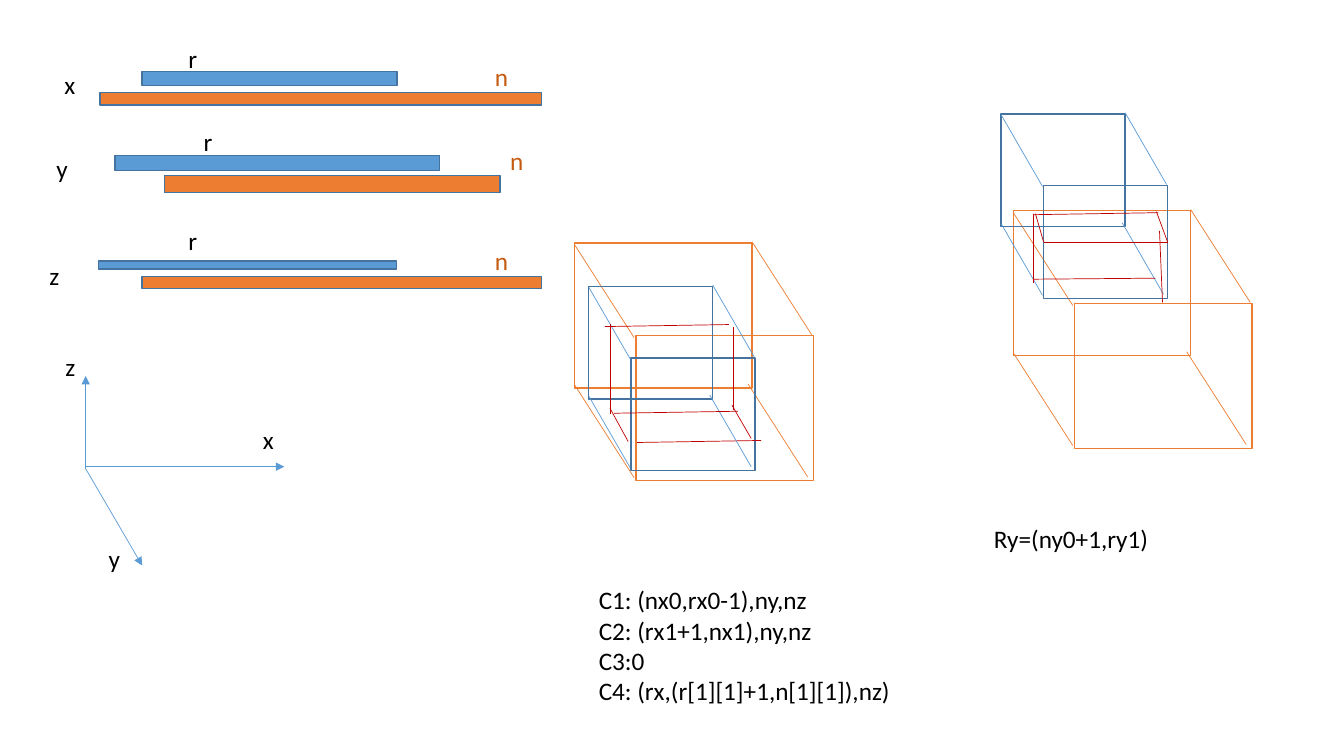
from dataclasses import dataclass

from lxml.etree import SubElement
from pptx import Presentation
from pptx.dml.color import RGBColor
from pptx.enum.shapes import MSO_CONNECTOR, MSO_SHAPE
from pptx.enum.text import MSO_AUTO_SIZE
from pptx.oxml.ns import qn
from pptx.util import Inches, Pt


@dataclass(frozen=True)
class Theme:
    font: str = "Calibri"
    text_size: float = 18
    outline: float = 1
    thin: float = 0.5
    black: str = "000000"
    blue: str = "5B9BD5"
    dark_blue: str = "43739E"
    orange: str = "ED7D31"
    dark_orange: str = "C55A11"
    red: str = "C00000"


@dataclass(frozen=True)
class Cuboid:
    """Face size, shift from back face to front face, and the depth edges."""
    size: tuple
    shift: tuple
    edge_run: tuple
    edge_starts: tuple
    face_color: str
    edge_color: str


class Sketch:
    def __init__(self, slide, theme):
        self.slide = slide
        self.theme = theme

    def rect(self, left, top, width, height, line, fill=None, shapes=None):
        shapes = shapes or self.slide.shapes
        rect = shapes.add_shape(MSO_SHAPE.RECTANGLE, Inches(left), Inches(top),
                                Inches(width), Inches(height))
        rect.shadow.inherit = False
        if fill:
            rect.fill.solid()
            rect.fill.fore_color.rgb = RGBColor.from_string(fill)
        else:
            rect.fill.background()
        rect.line.color.rgb = RGBColor.from_string(line)
        rect.line.width = Pt(self.theme.outline)

    def line(self, start, end, color, arrow=False, shapes=None):
        shapes = shapes or self.slide.shapes
        line = shapes.add_connector(MSO_CONNECTOR.STRAIGHT,
                                    *(Inches(v) for v in (*start, *end)))
        line.line.color.rgb = RGBColor.from_string(color)
        line.line.width = Pt(self.theme.thin)
        if arrow:
            SubElement(line.line._get_or_add_ln(), qn("a:tailEnd"), type="triangle")
        SubElement(line._element.spPr, qn("a:effectLst"))

    def text(self, left, top, width, height, lines, color=None):
        box = self.slide.shapes.add_textbox(Inches(left), Inches(top),
                                            Inches(width), Inches(height))
        frame = box.text_frame
        frame.word_wrap = False
        frame.auto_size = MSO_AUTO_SIZE.SHAPE_TO_FIT_TEXT
        frame.text = "\n".join(lines)
        for paragraph in frame.paragraphs:
            paragraph.font.name = self.theme.font
            paragraph.font.size = Pt(self.theme.text_size)
            paragraph.font.color.rgb = RGBColor.from_string(color or self.theme.black)

    def label(self, left, top, letter, color=None):
        self.text(left, top, 0.31, 0.4, [letter], color)

    def cuboid(self, left, top, kind):
        shapes = self.slide.shapes.add_group_shape().shapes
        for dx, dy in (kind.shift, (0, 0)):
            self.rect(left + dx, top + dy, *kind.size, kind.face_color, shapes=shapes)
        run_x, run_y = kind.edge_run
        for dx, dy in kind.edge_starts:
            x, y = left + dx, top + dy
            self.line((x, y), (x + run_x, y + run_y), kind.edge_color, shapes=shapes)


theme = Theme()
prs = Presentation()
prs.slide_width, prs.slide_height = Inches(13.33), Inches(7.5)
sketch = Sketch(prs.slides.add_slide(prs.slide_layouts[6]), theme)

n_cuboid = Cuboid((1.76, 1.44), (0.61, 0.92), (0.59, 0.92),
                  ((0, 0.02), (1.76, -0.01), (0, 1.41), (1.72, 1.4)),
                  theme.orange, theme.orange)
r_cuboid = Cuboid((1.23, 1.12), (0.42, 0.71), (0.41, 0.71),
                  ((0, 0.01), (1.23, -0.01), (0, 1.09), (1.2, 1.08)),
                  theme.dark_blue, theme.blue)

# r inside n
sketch.cuboid(5.7, 2.41, n_cuboid)
sketch.cuboid(5.84, 2.84, r_cuboid)

# Ranges of r and n along each axis: axis label, r bar, n bar, r label, n label
ranges = [
    ("x", (0.54, 0.64), (1.41, 0.71, 2.53, 0.14), (0.99, 0.92, 4.38, 0.12),
     (1.77, 0.38), (4.81, 0.56)),
    ("y", (0.46, 1.47), (1.14, 1.54, 3.22, 0.15), (1.63, 1.74, 3.33, 0.17),
     (1.92, 1.2), (4.96, 1.39)),
    ("z", (0.39, 2.53), (0.98, 2.59, 2.95, 0.08), (1.41, 2.74, 3.96, 0.12),
     (1.77, 2.19), (4.81, 2.38)),
]
for axis, axis_at, r_bar, n_bar, r_at, n_at in ranges:
    sketch.rect(*r_bar, theme.dark_blue, theme.blue)
    sketch.rect(*n_bar, theme.dark_blue, theme.orange)
    sketch.label(*r_at, "r")
    sketch.label(*n_at, "n", theme.dark_orange)
    sketch.label(*axis_at, axis)

# Coordinate axes
axes = [
    ("x", (0.85, 4.63), (2.82, 4.63), (2.51, 4.16)),
    ("y", (0.85, 4.65), (1.41, 5.61), (0.98, 5.34)),
    ("z", (0.85, 4.65), (0.85, 3.73), (0.55, 3.44)),
]
for axis, origin, tip, label_at in axes:
    sketch.line(origin, tip, theme.blue, arrow=True)
    sketch.label(*label_at, axis)

# Cut lines within the inner cuboid
inner_cuts = [
    ((6.05, 3.21), (6.05, 4.11)),
    ((6.05, 4.05), (6.23, 4.38)),
    ((6.32, 4.39), (7.55, 4.37)),
    ((6, 3.24), (7.23, 3.22)),
    ((7.27, 3.24), (7.27, 4.07)),
    ((7.26, 4.02), (7.45, 4.35)),
    ((6.09, 4.1), (7.32, 4.08)),
]
for start, end in inner_cuts:
    sketch.line(start, end, theme.red)

# Range formulas
sketch.text(5.84, 5.75, 3.12, 1.31, [
    "C1: (nx0,rx0-1),ny,nz ",
    "C2: (rx1+1,nx1),ny,nz",
    "C3:0",
    "C4: (rx,(r[1][1]+1,n[1][1]),nz)",
])
sketch.text(9.76, 5.14, 1.75, 0.4, ["Ry=(ny0+1,ry1)"])

# r overlapping n
sketch.cuboid(10.05, 2.09, n_cuboid)
sketch.cuboid(9.93, 1.13, r_cuboid)

# Cut lines around the overlap
overlap_cuts = [
    ((10.25, 2.12), (10.25, 2.81)),
    ((10.27, 2.12), (10.35, 2.4)),
    ((10.35, 2.4), (11.58, 2.4)),
    ((10.25, 2.13), (11.49, 2.11)),
    ((11.5, 2.29), (11.53, 3)),
    ((11.47, 2.1), (11.58, 2.4)),
    ((10.25, 2.77), (11.46, 2.76)),
]
for start, end in overlap_cuts:
    sketch.line(start, end, theme.red)

prs.save("out.pptx")
